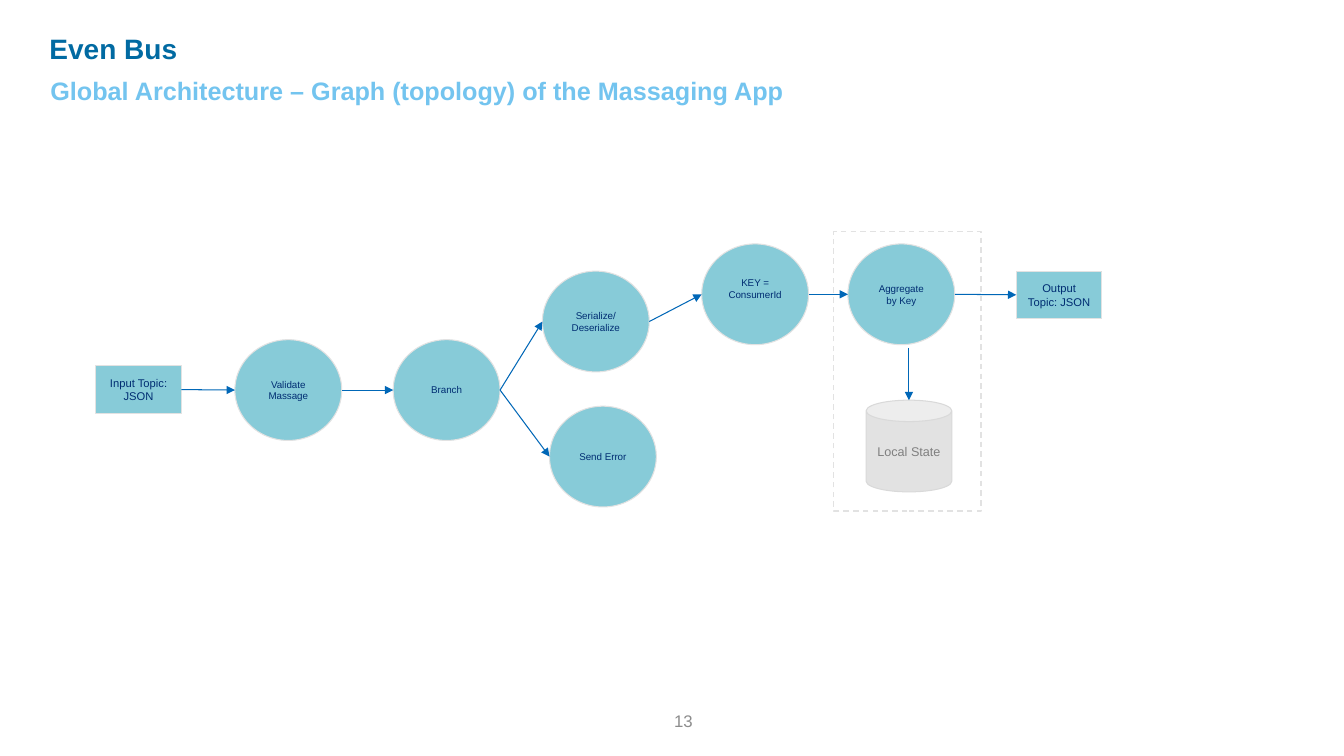
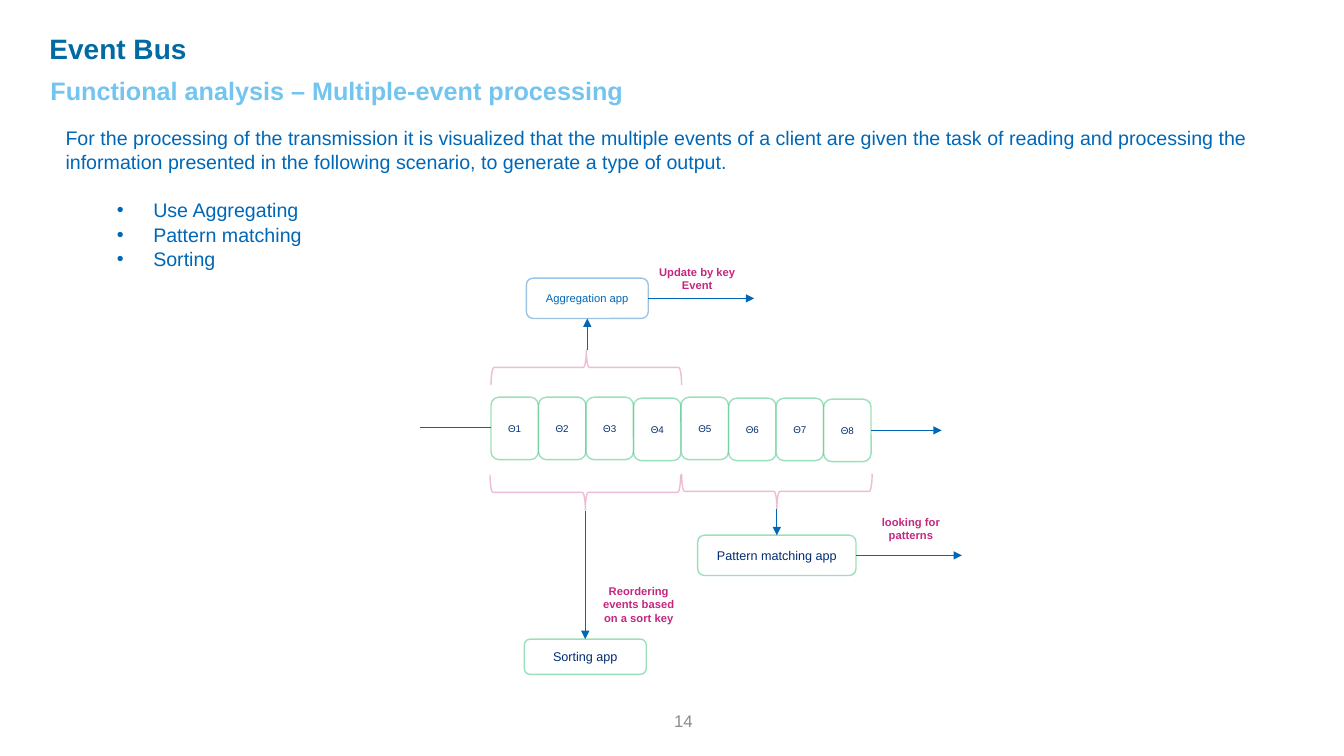
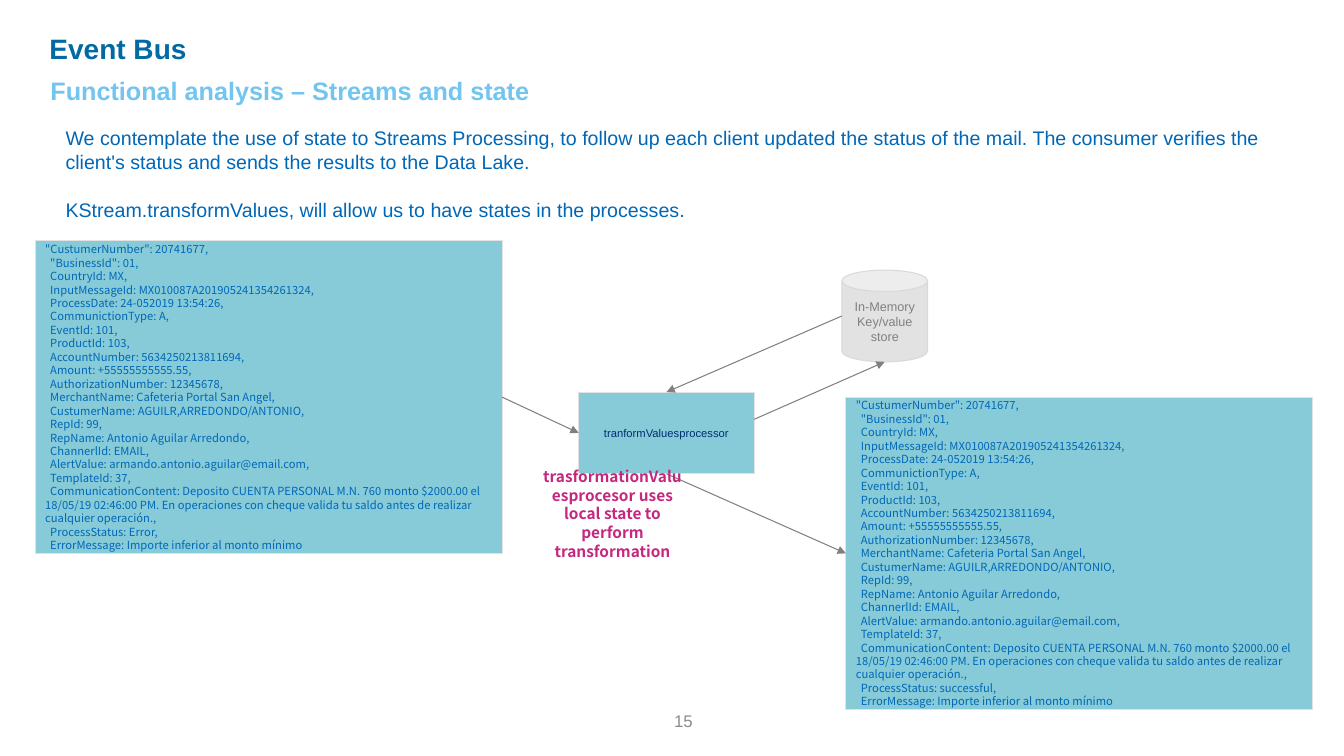
from pptx import Presentation, util as u
from pptx.dml.color import RGBColor
from pptx.enum import dml, shapes, text
from pptx.oxml import parse_xml
from pptx.oxml.ns import nsdecls, qn
from lxml import etree

# Shared look
FONT, CODE_FONT = "Arial", "Noto Sans CJK KR"
TITLE, SUBTITLE, NUMBER = "016AA2", "73C4EF", "8C8C8C"
BLUE, NAVY, PINK, GREEN = "0067B7", "002D72", "C5277F", "00B050"
TEAL, PALE, EDGE, GREY, WHITE = "87CBD8", "E2E2E2", "D9D9D9", "808080", "FFFFFF"
FIRST_NUMBER = 13

SHAPE = shapes.MSO_SHAPE
LEFT, CENTER, RIGHT = text.PP_ALIGN.LEFT, text.PP_ALIGN.CENTER, text.PP_ALIGN.RIGHT
TOP, MIDDLE = text.MSO_ANCHOR.TOP, text.MSO_ANCHOR.MIDDLE

RECORD = [
    '"CustumerNumber": 20741677,', '"BusinessId": 01,', "CountryId: MX,",
    "InputMessageId: MX010087A201905241354261324,",
    "ProcessDate: 24-052019 13:54:26,", "CommunictionType: A,", "EventId: 101,",
    "ProductId: 103,", "AccountNumber: 5634250213811694,",
    "Amount: +55555555555.55,", "AuthorizationNumber: 12345678,",
    "MerchantName: Cafeteria Portal San Angel,",
    "CustumerName: AGUILR,ARREDONDO/ANTONIO,", "RepId: 99,",
    "RepName: Antonio Aguilar Arredondo,", "ChannerlId: EMAIL,",
    "AlertValue: armando.antonio.aguilar@email.com,", "TemplateId: 37,",
    "CommunicationContent: Deposito CUENTA PERSONAL M.N. 760 monto $2000.00 el "
    "18/05/19 02:46:00 PM. En operaciones con cheque valida tu saldo antes de "
    "realizar cualquier operación.,",
    "ProcessStatus: {status},", "ErrorMessage: Importe inferior al monto mínimo",
]


# Formatting helpers
def rgb(value):
    return RGBColor.from_string(value)


def place(sp, box):
    sp.left, sp.top, sp.width, sp.height = map(u.Inches, box)


def set_frame(tf, inset=0.1, anchor=MIDDLE):
    tf.word_wrap = True
    tf.auto_size = text.MSO_AUTO_SIZE.NONE
    tf.vertical_anchor = anchor
    tf.margin_left = tf.margin_right = tf.margin_top = tf.margin_bottom = u.Inches(inset)


def set_indent(p, left, first, bullet=None):
    pPr = p._p.get_or_add_pPr()
    pPr.set("marL", str(u.Inches(left)))
    pPr.set("indent", str(u.Inches(first)))
    mark = etree.SubElement(pPr, qn("a:buChar" if bullet else "a:buNone"))
    if bullet:
        mark.set("char", bullet)


def style(font, size, color, bold=False, name=FONT):
    font.size, font.bold, font.name = u.Pt(size), bold, name
    font.color.rgb = rgb(color)


def write(tf, lines, size, color, bold=False, align=CENTER, name=FONT, spacing=None):
    for i, line in enumerate(lines):
        p = tf.add_paragraph() if i else tf.paragraphs[0]
        p.alignment = align
        if spacing:
            p.line_spacing = spacing
        r = p.add_run()
        r.text = line
        style(r.font, size, color, bold, name)


def set_line(line, color, width, alpha=None):
    line.color.rgb = rgb(color)
    line.width = u.Pt(width)
    if alpha:
        clr = line._get_or_add_ln().find(".//" + qn("a:srgbClr"))
        etree.SubElement(clr, qn("a:alpha")).set("val", str(alpha * 1000))


# Elements
def shape(s, kind, box, fill, line, width=0.75, alpha=None):
    sp = s.shapes.add_shape(kind, *map(u.Inches, box))
    sp.shadow.inherit = False
    if fill:
        sp.fill.solid()
        sp.fill.fore_color.rgb = rgb(fill)
    else:
        sp.fill.background()
    set_line(sp.line, line, width, alpha)
    set_frame(sp.text_frame)
    return sp


def step(s, left, top, *lines):
    sp = shape(s, SHAPE.OVAL, (left, top, 1.06, 1), TEAL, PALE)
    write(sp.text_frame, lines, 7, NAVY)
    return sp


def block(s, box, label):
    sp = shape(s, SHAPE.RECTANGLE, box, TEAL, PALE)
    write(sp.text_frame, [label], 8, NAVY)
    return sp


def store(s, left, top, *lines):
    sp = shape(s, SHAPE.CAN, (left, top, 0.85, 0.91), PALE, EDGE)
    write(sp.text_frame, lines, 9, GREY)
    return sp


def rounded(s, box, label, size, color=NAVY, line=GREEN):
    sp = shape(s, SHAPE.ROUNDED_RECTANGLE, box, WHITE, line, 1, 39)
    set_frame(sp.text_frame, 0.05)
    write(sp.text_frame, [label], size, color)
    return sp


def brace(s, left, top, rotation):
    sp = shape(s, SHAPE.RIGHT_BRACE, (left, top, 0.35, 1.89), None, PINK, 1, 30)
    sp.adjustments[0] = 0.083
    sp.rotation = rotation


def record(s, left, top, status):
    sp = shape(s, SHAPE.RECTANGLE, (left, top, 4.63, 3.1), TEAL, PALE)
    lines = [line.format(status=status) for line in RECORD]
    write(sp.text_frame, lines, 8, BLUE, False, LEFT, CODE_FONT, u.Pt(9.6))
    for p in sp.text_frame.paragraphs[1:]:
        set_indent(p, 0, 0.05)
    return sp


def label(s, box, content, size=8, inset=0.1, anchor=MIDDLE, color=PINK, align=CENTER, **kw):
    tf = s.shapes.add_textbox(*map(u.Inches, box)).text_frame
    set_frame(tf, inset, anchor)
    write(tf, [content], size, color, True, align, **kw)


def side(sp, edge):
    """Middle of one edge of a shape, in inches."""
    fx, fy = {"l": (0, 0.5), "r": (1, 0.5), "t": (0.5, 0), "b": (0.5, 1)}[edge]
    return u.Emu(sp.left + sp.width * fx).inches, u.Emu(sp.top + sp.height * fy).inches


def arrow(s, start, end, color=BLUE, head=True):
    ends = [u.Inches(v) for v in (*start, *end)]
    c = s.shapes.add_connector(shapes.MSO_CONNECTOR.STRAIGHT, *ends)
    set_line(c.line, color, 0.75)
    if head:
        etree.SubElement(c.line._get_or_add_ln(), qn("a:tailEnd")).set("type", "triangle")
    etree.SubElement(c._element.spPr, qn("a:effectLst"))


# Slide frame
def page_number(s, number):
    tf = s.shapes.add_textbox(*map(u.Inches, (3.34, 6.95, 3.63, 0.4))).text_frame
    set_frame(tf)
    tf.margin_top = tf.margin_bottom = u.Inches(0.05)
    p = tf.paragraphs[0]
    p.alignment = RIGHT
    p._p.append(parse_xml(
        f'<a:fld {nsdecls("a")} id="{{B6F15528-21DE-4FAA-801E-634DDDAF4B2B}}" type="slidenum">'
        f'<a:rPr lang="en-US" sz="1200"><a:solidFill><a:srgbClr val="{NUMBER}"/></a:solidFill>'
        f'<a:latin typeface="{FONT}"/></a:rPr><a:t>{number}</a:t></a:fld>'))


def new_slide(prs, title, subtitle, body=False):
    s = prs.slides.add_slide(prs.slide_layouts[1 if body else 5])
    page_number(s, FIRST_NUMBER + len(prs.slides) - 1)
    place(s.shapes.title, (0.44, 0.26, 2.83, 0.44))
    tf = s.shapes.title.text_frame
    set_frame(tf, 0.05, TOP)
    write(tf, [title], 20, TITLE, True, LEFT)
    label(s, (0.45, 0.7, 9.32, 0.4), subtitle, 18, 0.05, TOP, SUBTITLE, LEFT)
    return s


def fill_body(s, height, intro, bullets=(), closing=()):
    sp = s.placeholders[1]
    place(sp, (0.55, 1.19, 12.2, height))
    tf = sp.text_frame
    set_frame(tf, 0.1, TOP)
    tf.margin_top = tf.margin_bottom = u.Inches(0.05)
    write(tf, [intro, *bullets, *closing], 14, BLUE, False, LEFT, spacing=1.04)
    for i, p in enumerate(tf.paragraphs):
        p.space_before = u.Pt(16.8 if i == 1 else 0)
        if 0 < i <= len(bullets):
            p.level = 1
            set_indent(p, 0.87, -0.36, "•")
        else:
            set_indent(p, 0, 0)


# Slides
def topology(prs):
    s = new_slide(prs, "Even Bus",
                  "Global Architecture – Graph (topology) of the Massaging App")
    source = block(s, (0.95, 3.63, 0.85, 0.47), "Input Topic: JSON")
    key = step(s, 6.96, 2.42, "KEY = ConsumerId")
    key.text_frame.margin_bottom = u.Inches(0.21)
    validate = step(s, 2.33, 3.37, "Validate Massage")
    aggregate = step(s, 8.41, 2.42, "Aggregate by Key")
    state = store(s, 8.59, 3.97, "Local State")
    group = shape(s, SHAPE.RECTANGLE, (8.27, 2.3, 1.46, 2.77), None, PALE, 1)
    group.line.dash_style = dml.MSO_LINE.DASH
    output = block(s, (10.08, 2.69, 0.85, 0.47), "Output Topic: JSON")
    branch = step(s, 3.9, 3.37, "Branch")
    serialize = step(s, 5.38, 2.69, "Serialize/", "Deserialize")
    error = step(s, 5.45, 4.03, "Send Error")
    for a, b in [(source, validate), (validate, branch), (branch, serialize),
                 (branch, error), (serialize, key), (key, aggregate), (aggregate, output)]:
        arrow(s, side(a, "r"), side(b, "l"))
    x, y = side(state, "t")
    arrow(s, (x, 3.45), (x, y))


def multiple_events(prs):
    s = new_slide(prs, "Event Bus", "Functional analysis – Multiple-event processing", True)
    fill_body(s, 1.51,
              "For the processing of the transmission it is visualized that the multiple events "
              "of a client are given the task of reading and processing the information presented "
              "in the following scenario, to generate a type of output.",
              ["Use Aggregating", "Pattern matching", "Sorting"])
    # Event stream
    tops = [3.94, 3.94, 3.94, 3.95, 3.94, 3.95, 3.95, 3.96]
    events = [rounded(s, (4.87 + 0.4714 * i, top, 0.47, 0.62), f"Θ{i + 1}", 7)
              for i, top in enumerate(tops)]
    arrow(s, (4.17, 4.24), (4.87, 4.24), head=False)
    x, y = side(events[-1], "r")
    arrow(s, (x, y), (9.34, y))
    for left, top, rotation in [(5.64, 2.7, 270), (7.53, 3.93, 90), (5.63, 3.94, 90)]:
        brace(s, left, top, rotation)
    # Apps fed by the stream
    sorting = rounded(s, (5.2, 6.34, 1.21, 0.35), "Sorting app", 9)
    aggregation = rounded(s, (5.22, 2.76, 1.21, 0.4), "Aggregation app", 8, BLUE, BLUE)
    matching = rounded(s, (6.92, 5.31, 1.57, 0.4), "Pattern matching app", 9)
    for app, edge, start in [(sorting, "t", 5.07), (aggregation, "b", 3.47),
                             (matching, "t", 5.05)]:
        x, y = side(app, edge)
        arrow(s, (x, start), (x, y))
    for app in (aggregation, matching):
        x, y = side(app, "r")
        arrow(s, (x, y), (x + 1.05, y))
    label(s, (6.39, 2.64, 1.05, 0.25), "Update by key Event")
    label(s, (5.81, 5.73, 1.05, 0.53), "Reordering events based on a sort key")
    label(s, (8.51, 4.98, 1.05, 0.53), "looking for patterns")


def streams_and_state(prs):
    s = new_slide(prs, "Event Bus", "Functional analysis – Streams and state", True)
    fill_body(s, 1.04,
              "We contemplate the use of state to Streams Processing, to follow up each client "
              "updated the status of the mail. The consumer verifies the client's status and "
              "sends the results to the Data Lake.",
              closing=["KStream.transformValues, will allow us to have states in the processes."])
    received = record(s, 0.35, 2.39, "Error")
    memory = store(s, 8.35, 2.68, "In-Memory", "Key/value store")
    processor = block(s, (5.74, 3.89, 1.74, 0.81), "tranformValuesprocessor")
    sent = record(s, 8.39, 3.94, "successful")
    for start, end in [(side(received, "r"), side(processor, "l")),
                       (side(memory, "l"), side(processor, "t")),
                       ((7.48, 4.16), side(memory, "b")),
                       (side(processor, "b"), side(sent, "l"))]:
        arrow(s, start, end, GREY)
    label(s, (5.25, 4.64, 1.65, 0.91),
          "trasformationValuesprocesor uses local state to perform transformation",
          11, name=CODE_FONT, spacing=u.Pt(13.3))


def main():
    prs = Presentation()
    prs.slide_width, prs.slide_height = u.Inches(13.33), u.Inches(7.5)
    prs.element.set("firstSlideNum", str(FIRST_NUMBER))
    topology(prs)
    multiple_events(prs)
    streams_and_state(prs)
    prs.save("out.pptx")


if __name__ == "__main__":
    main()
